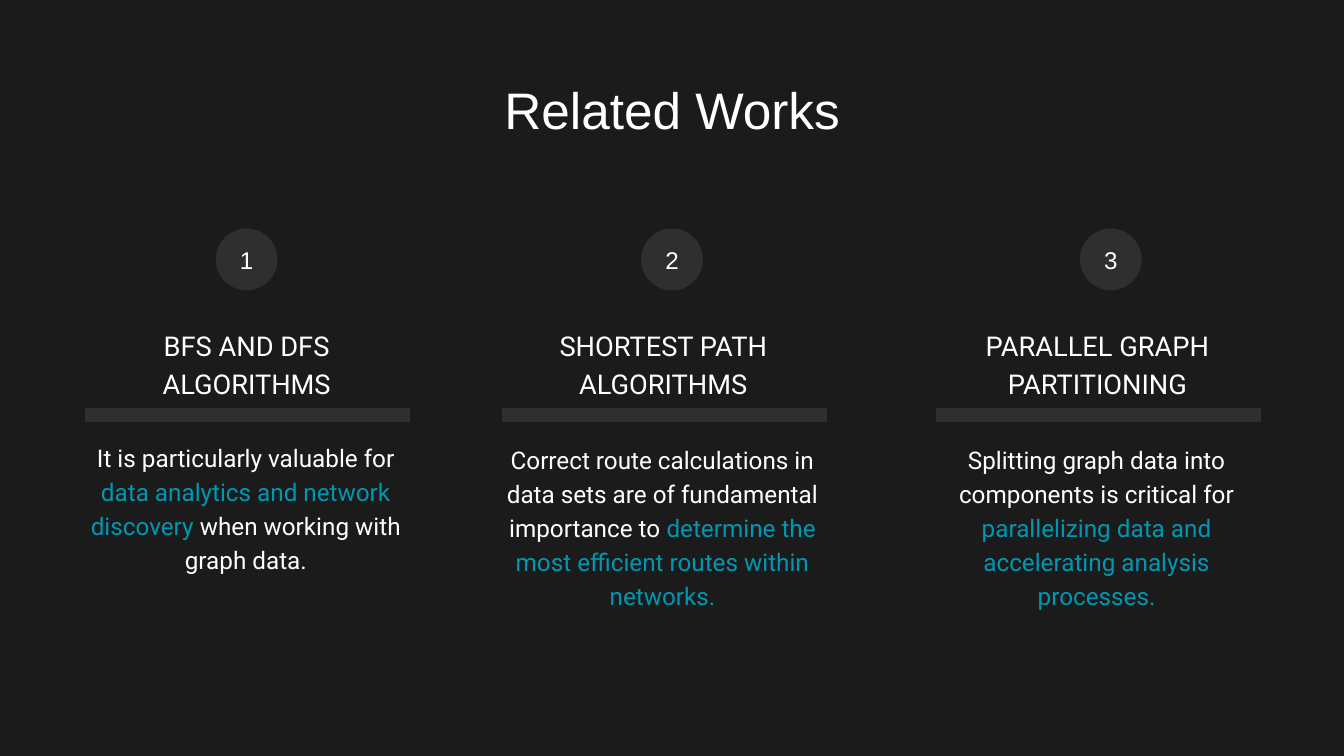
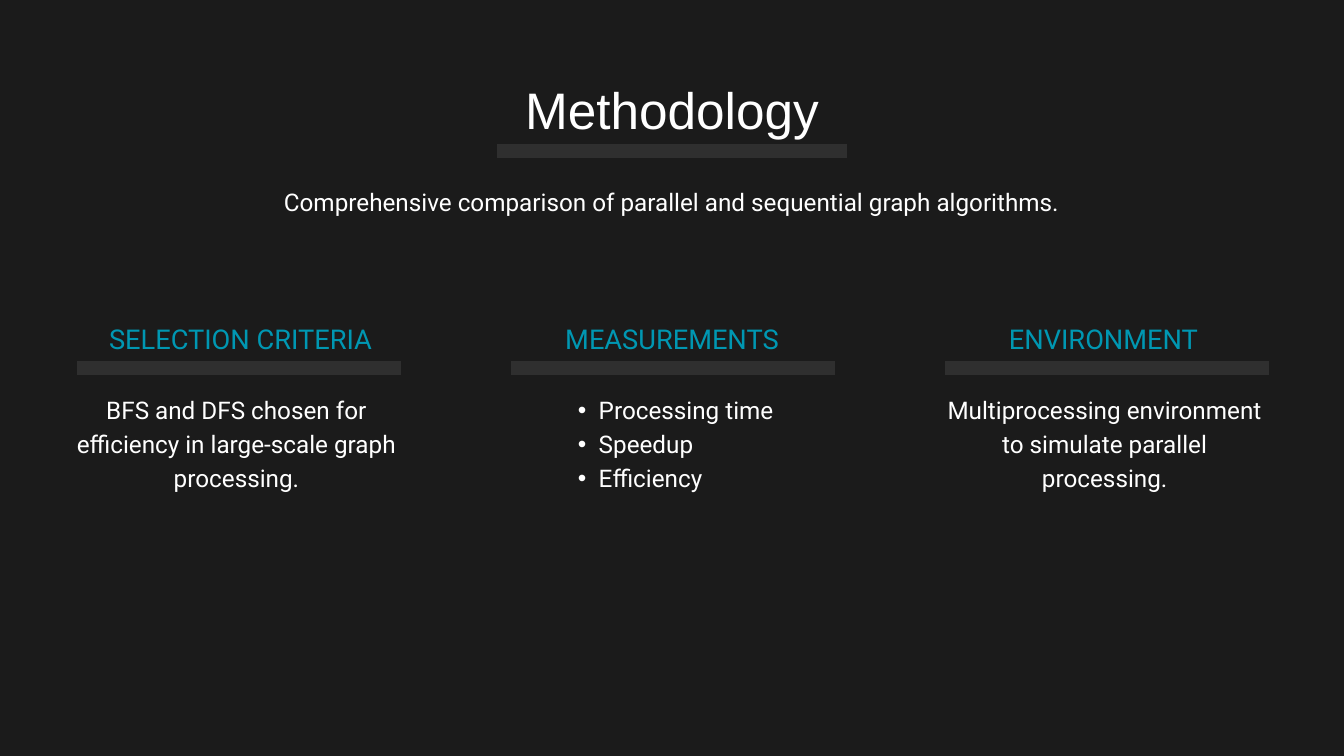
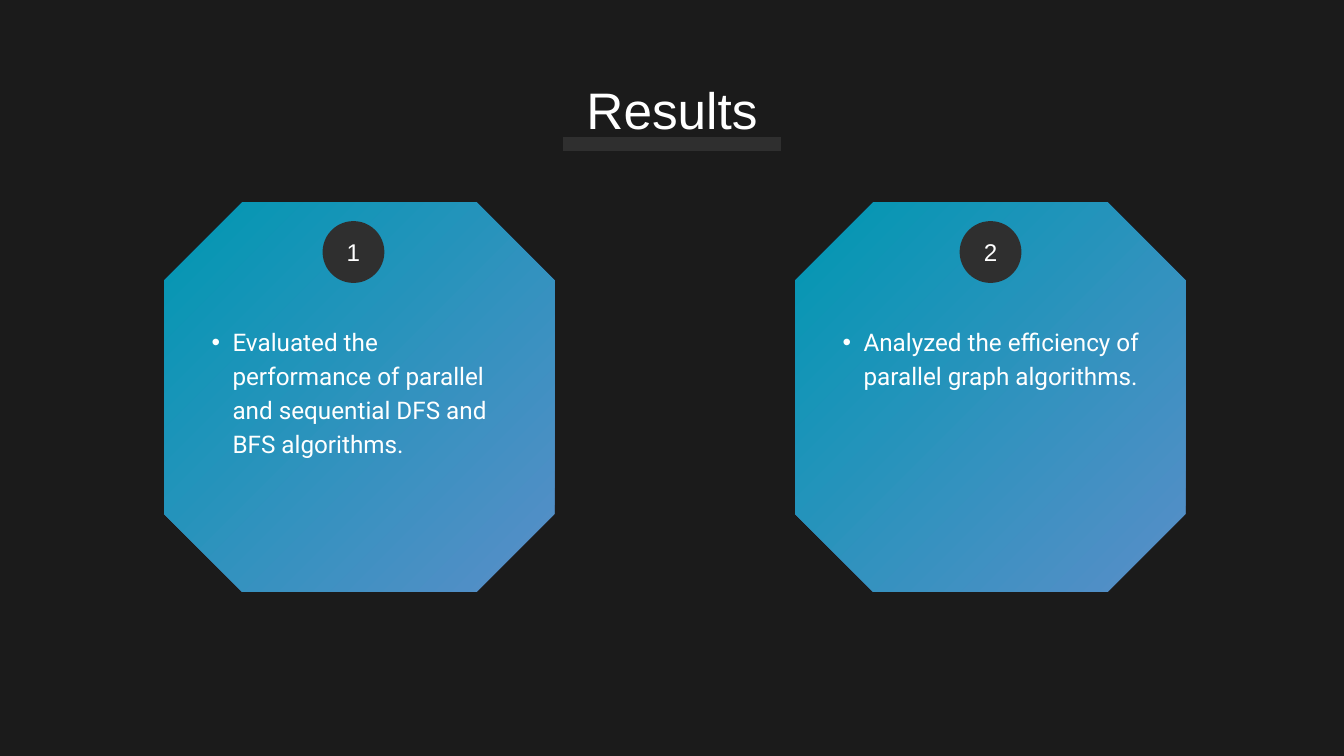
from dataclasses import dataclass

from lxml import etree
from pptx import Presentation
from pptx.dml.color import RGBColor
from pptx.enum.shapes import MSO_CONNECTOR, MSO_SHAPE
from pptx.enum.text import MSO_ANCHOR, MSO_AUTO_SIZE, PP_ALIGN
from pptx.oxml.ns import qn
from pptx.util import Inches, Pt

STRAIGHT = MSO_CONNECTOR.STRAIGHT
OVAL, OCTAGON = MSO_SHAPE.OVAL, MSO_SHAPE.OCTAGON
TOP, MIDDLE = MSO_ANCHOR.TOP, MSO_ANCHOR.MIDDLE
NO_AUTOFIT = MSO_AUTO_SIZE.NONE
LEFT, CENTER, JUSTIFY = PP_ALIGN.LEFT, PP_ALIGN.CENTER, PP_ALIGN.JUSTIFY

COLUMNS, ROWS = 20, 11.25
WIDTH, HEIGHT = Inches(20), Inches(11.25)
CENTER_COLUMN = COLUMNS / 2
TITLE_ONLY, ONE_LIST, TWO_LISTS = 5, 1, 3  # layout indexes


@dataclass(frozen=True)
class TextStyle:
    font: str
    size: float
    leading: float
    color: str


@dataclass(frozen=True)
class Theme:
    background: str = "1B1B1B"
    panel: str = "2F2F2F"
    accent: str = "0097B2"
    gradient_end: str = "598EC8"
    title: TextStyle = TextStyle("Arial", 55, 77, "FFFFFF")
    number: TextStyle = TextStyle("Arial", 25.9, 31.1, "FFFFFF")
    heading: TextStyle = TextStyle("Roboto", 29.2, 41, "FFFFFF")
    accent_heading: TextStyle = TextStyle("Roboto", 29.2, 41, "0097B2")
    body: TextStyle = TextStyle("Roboto", 26, 36.4, "FFFFFF")
    rule_weight: float = 15
    rule_width: float = 4.83
    text_width: float = 4.8
    badge_size: float = 0.92
    card_size: float = 5.8
    card_corner: float = 0.2


def rgb(color):
    return RGBColor.from_string(color)


def place(left, top, width, height):
    """Turn grid columns and rows into slide lengths."""
    return (round(left * WIDTH / COLUMNS), round(top * HEIGHT / ROWS),
            round(width * WIDTH / COLUMNS), round(height * HEIGHT / ROWS))


def add_bullet(paragraph):
    paragraph.level = 1
    properties = paragraph._p.get_or_add_pPr()
    properties.set("marL", str(Inches(0.61)))
    properties.set("indent", str(Inches(-0.31)))
    etree.SubElement(properties, qn("a:buChar")).set("char", "•")


def write_text(frame, text, style, accent=None, align=CENTER, anchor=TOP, bullets=False):
    """Write one paragraph per line; parts between asterisks take the accent colour."""
    frame.word_wrap = True
    frame.auto_size = NO_AUTOFIT
    frame.vertical_anchor = anchor
    frame.margin_left = frame.margin_right = frame.margin_top = frame.margin_bottom = 0
    for index, line in enumerate(text.split("\n")):
        paragraph = frame.add_paragraph() if index else frame.paragraphs[0]
        if bullets:
            add_bullet(paragraph)
        paragraph.alignment = align
        paragraph.line_spacing = Pt(style.leading)
        paragraph.space_before = paragraph.space_after = Pt(0)
        for part_index, part in enumerate(line.split("*")):
            if part:
                run = paragraph.add_run()
                run.text = part
                run.font.name = style.font
                run.font.size = Pt(style.size)
                run.font.color.rgb = rgb(accent if part_index % 2 else style.color)


class Deck:
    def __init__(self, theme):
        self.theme = theme
        self.presentation = Presentation()
        self.presentation.slide_width = WIDTH
        self.presentation.slide_height = HEIGHT
        fill = self.presentation.slide_master.background.fill
        fill.solid()
        fill.fore_color.rgb = rgb(theme.background)

    def new_slide(self, layout, title, title_width):
        self.slide = self.presentation.slides.add_slide(
            self.presentation.slide_layouts[layout])
        self.list_placeholders = [holder for holder in self.slide.placeholders
                                  if holder.placeholder_format.idx]
        holder = self.slide.shapes.title
        holder.left, holder.top, holder.width, holder.height = place(
            CENTER_COLUMN - title_width / 2, 1.01, title_width, 1.02)
        write_text(holder.text_frame, title, self.theme.title)

    def text(self, text, style, left, top, height, width=None):
        box = self.slide.shapes.add_textbox(
            *place(left, top, width or self.theme.text_width, height))
        write_text(box.text_frame, text, style, accent=self.theme.accent)

    def bullet_list(self, text, left, top, width, height, align=LEFT):
        """Fill the next body placeholder and bring it in front of earlier shapes."""
        holder = self.list_placeholders.pop(0)
        holder.left, holder.top, holder.width, holder.height = place(left, top, width, height)
        write_text(holder.text_frame, text, self.theme.body, align=align, bullets=True)
        holder.element.getparent().append(holder.element)

    def rule(self, left, row, width=None):
        x, y, length, _ = place(left, row, width or self.theme.rule_width, 0)
        line = self.slide.shapes.add_connector(STRAIGHT, x, y, x + length, y)
        line.line.color.rgb = rgb(self.theme.panel)
        line.line.width = Pt(self.theme.rule_weight)
        etree.SubElement(line.element.spPr, qn("a:effectLst"))

    def title_rule(self, row, width):
        self.rule(CENTER_COLUMN - width / 2, row, width)

    def plain_shape(self, kind, left, top, size):
        shape = self.slide.shapes.add_shape(kind, *place(left, top, size, size))
        shape.shadow.inherit = False
        shape.line.fill.background()
        return shape

    def badge(self, number, center, top):
        size = self.theme.badge_size
        circle = self.plain_shape(OVAL, center - size / 2, top, size)
        circle.fill.solid()
        circle.fill.fore_color.rgb = rgb(self.theme.panel)
        write_text(circle.text_frame, str(number), self.theme.number, anchor=MIDDLE)

    def card(self, left, top):
        """Add an octagon with a gradient that spreads from its top left corner."""
        card = self.plain_shape(OCTAGON, left, top, self.theme.card_size)
        card.adjustments[0] = self.theme.card_corner
        card.fill.gradient()
        colors = (self.theme.accent, self.theme.gradient_end)
        for stop, color in zip(card.fill.gradient_stops, colors):
            stop.color.rgb = rgb(color)
        gradient = card.element.spPr.find(qn("a:gradFill"))
        radial = etree.Element(qn("a:path"), {"path": "circle"})
        etree.SubElement(radial, qn("a:fillToRect"),
                         {"l": "0", "t": "0", "r": "100000", "b": "100000"})
        gradient.replace(gradient.find(qn("a:lin")), radial)


def add_related_works(deck):
    deck.new_slide(TITLE_ONLY, "Related Works", 11.68)
    works = (
        (1.27, 3.67, 6.52, "BFS AND DFS\nALGORITHMS",
         "It is particularly valuable for *data analytics and network discovery*"
         " when working with graph data."),
        (7.47, 10, 6.56, "SHORTEST PATH ALGORITHMS",
         "Correct route calculations in data sets are of fundamental importance to "
         "*determine the most efficient routes within networks.*"),
        (13.93, 16.53, 6.56, "PARALLEL GRAPH PARTITIONING",
         "Splitting graph data into components is critical for "
         "*parallelizing data and accelerating analysis processes.*"),
    )
    for number, (left, center, body_top, heading, body) in enumerate(works, 1):
        deck.badge(number, center, 3.4)
        deck.text(heading, deck.theme.heading, left, 4.81, 1.11)
        deck.rule(left, 6.18)
        deck.text(body, deck.theme.body, left - 0.01, body_top, 2.49)


def add_methodology(deck):
    deck.new_slide(ONE_LIST, "Methodology", 5.34)
    deck.title_rule(2.24, 5.22)
    deck.text("Comprehensive comparison of parallel and sequential graph algorithms.",
              deck.theme.body, 3.95, 2.71, 0.49, width=12.1)
    for index, heading in enumerate(("SELECTION CRITERIA", "MEASUREMENTS", "ENVIRONMENT")):
        deck.text(heading, deck.theme.accent_heading, 1.18 + index * 6.42, 4.71, 0.54)
        deck.rule(1.14 + index * 6.46, 5.47)
    body_top, body_height = 5.81, 1.49
    deck.text("BFS and DFS chosen for efficiency in large-scale graph processing.",
              deck.theme.body, 1.12, body_top, body_height)
    deck.bullet_list("Processing time\nSpeedup\nEfficiency",
                     8.3, body_top, 3.4, body_height, align=JUSTIFY)
    deck.text("Multiprocessing environment to simulate parallel processing.",
              deck.theme.body, 14.04, body_top, body_height)


def add_results(deck):
    deck.new_slide(TWO_LISTS, "Results", 3.02)
    deck.title_rule(2.14, 3.24)
    results = (
        (2.45, 5.26, 2.49,
         "Evaluated the performance of parallel and sequential DFS and BFS algorithms."),
        (11.84, 14.74, 0.99, "Analyzed the efficiency of parallel graph algorithms."),
    )
    for number, (left, center, height, finding) in enumerate(results, 1):
        deck.card(left, 3.01)
        deck.badge(number, center, 3.29)
        deck.bullet_list(finding, left + 0.4, 4.8, deck.theme.text_width, height)


def main():
    deck = Deck(Theme())
    add_related_works(deck)
    add_methodology(deck)
    add_results(deck)
    deck.presentation.save("out.pptx")


if __name__ == "__main__":
    main()
